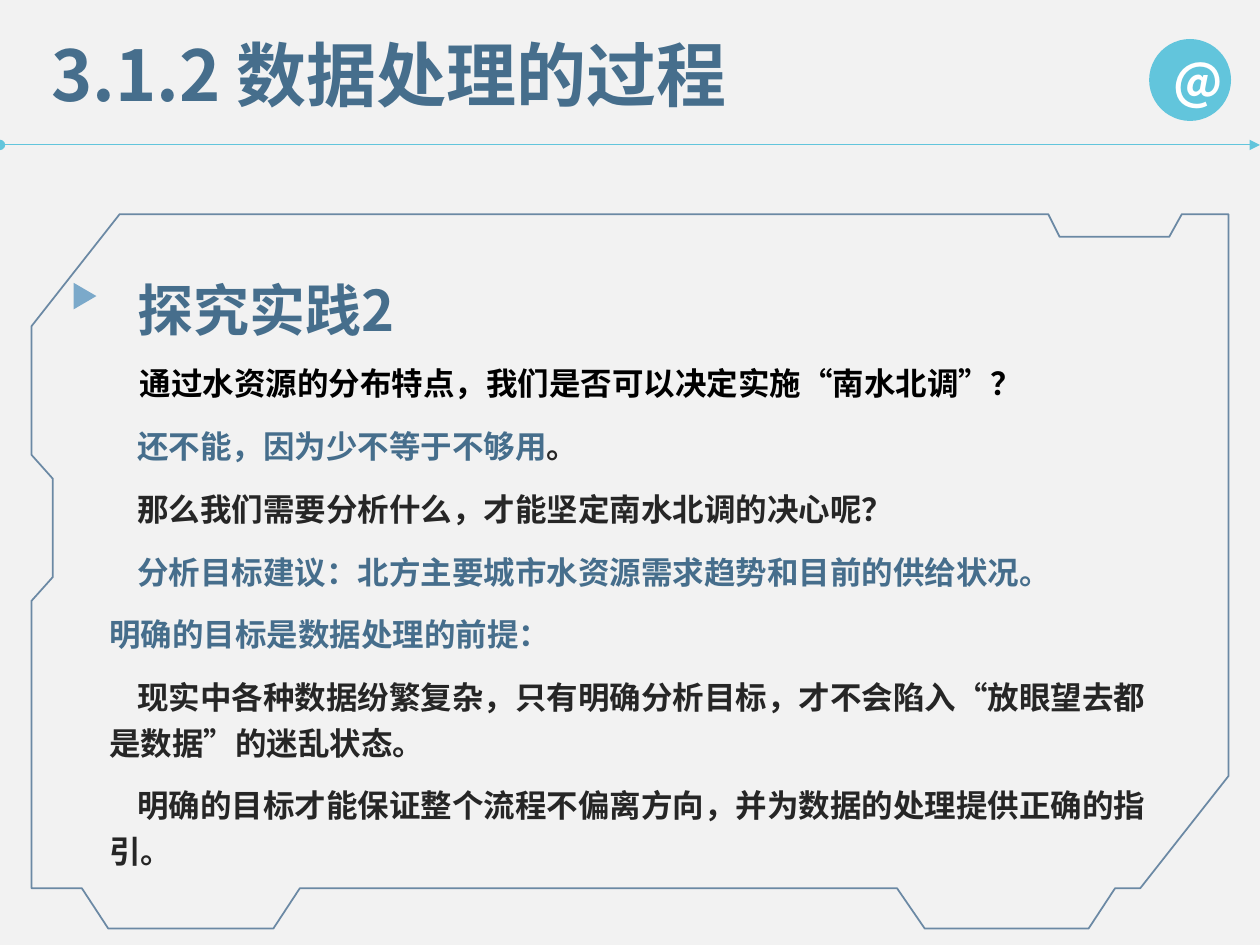
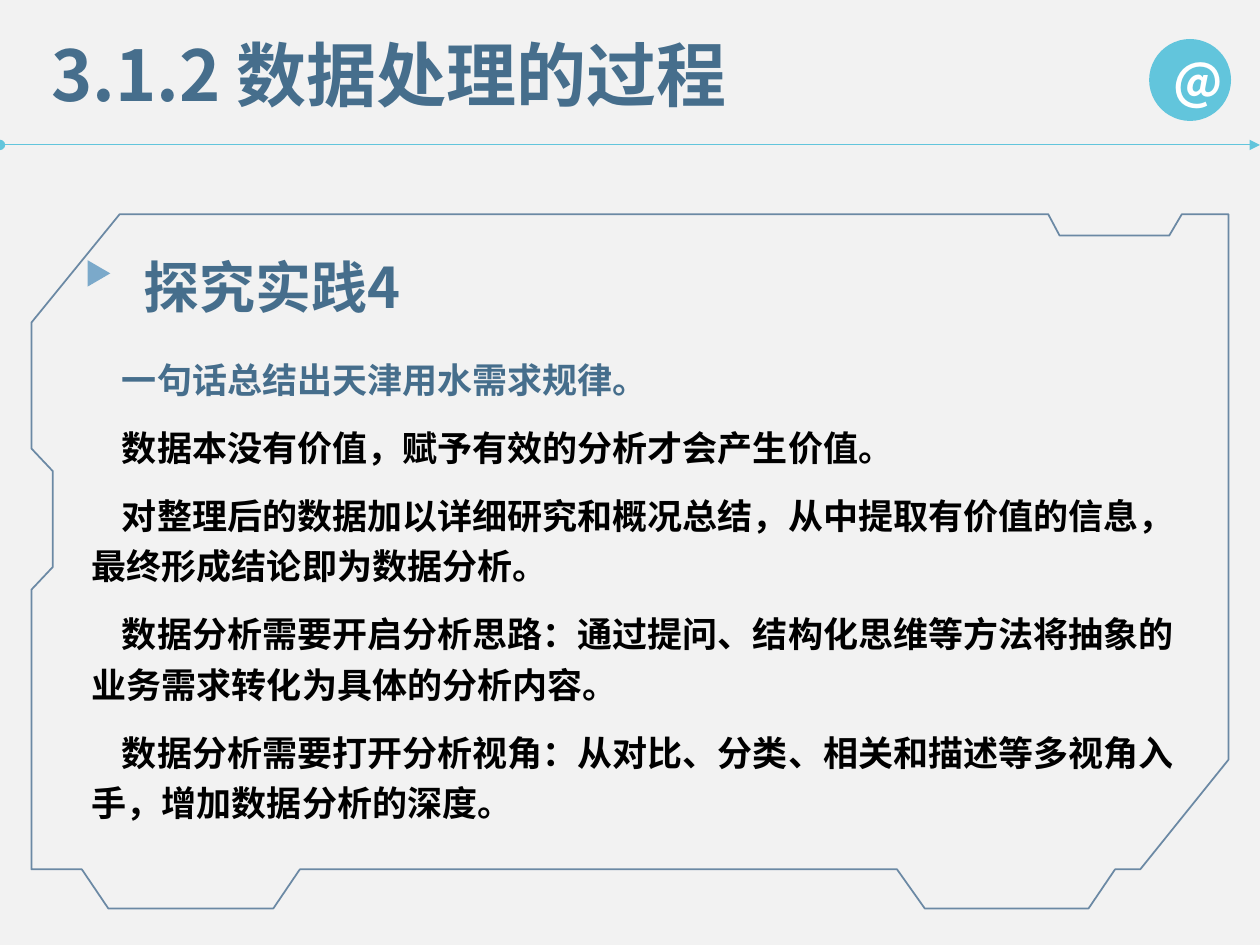
from lxml import etree
from pptx import Presentation
from pptx.dml.color import RGBColor
from pptx.enum.lang import MSO_LANGUAGE_ID
from pptx.enum.shapes import MSO_CONNECTOR, MSO_SHAPE
from pptx.enum.text import MSO_ANCHOR, MSO_AUTO_SIZE, PP_ALIGN
from pptx.oxml.ns import qn
from pptx.util import Pt

PX = 9144  # EMU per px, 100 px to the inch
FONT = "Noto Sans CJK SC"
COLORS = {
    "background": "F2F2F2",
    "steel": "466E8C",
    "cyan": "62C5DC",
    "marker": "7BA9CA",
    "frame": "1F4E79",
    "black": "000000",
    "charcoal": "262626",
    "white": "FFFFFF",
}
CHINESE = MSO_LANGUAGE_ID.SIMPLIFIED_CHINESE
STRAIGHT = MSO_CONNECTOR.STRAIGHT
ELLIPSE, TRIANGLE = MSO_SHAPE.OVAL, MSO_SHAPE.ISOSCELES_TRIANGLE
MIDDLE, CENTER = MSO_ANCHOR.MIDDLE, PP_ALIGN.CENTER
GROW = MSO_AUTO_SIZE.SHAPE_TO_FIT_TEXT

FRAME_TOP, FRAME_HEIGHT = 170, 567
FRAME_OUTLINE = [
    (734, 737), (864, 737), (885, 705), (905, 705), (975, 616), (975, 170),
    (938, 170), (928, 188), (841, 188), (832, 170), (95, 170), (25, 259),
    (25, 361), (42, 380), (42, 458), (25, 477), (25, 705), (65, 705),
    (86, 737), (217, 737), (238, 705), (712, 705),
]


def rgb(color):
    return RGBColor.from_string(COLORS[color])


class Deck:
    def __init__(self):
        self.presentation = Presentation()
        self.presentation.slide_width = 1000 * PX
        self.presentation.slide_height = 750 * PX
        self.slide = None

    def new_slide(self):
        blank = self.presentation.slide_layouts[6]
        self.slide = self.presentation.slides.add_slide(blank)
        fill = self.slide.background.fill
        fill.solid()
        fill.fore_color.rgb = rgb("background")

    def style_run(self, run, size, color):
        font = run.font
        font.size, font.bold, font.name = Pt(size), True, FONT
        font.color.rgb = rgb(color)
        font.language_id = CHINESE
        latin = font._element.find(qn("a:latin"))
        east_asian = etree.Element(qn("a:ea"), typeface=FONT)
        latin.addnext(east_asian)

    def text(self, box, lines, size, spacing=1.0, after=0):
        """Each line is (first-line indent, (words, color), ...)."""
        frame = self.slide.shapes.add_textbox(*(n * PX for n in box)).text_frame
        frame.word_wrap = True
        frame.auto_size = GROW
        for number, (indent, *parts) in enumerate(lines):
            paragraph = frame.add_paragraph() if number else frame.paragraphs[0]
            paragraph.line_spacing = spacing
            paragraph.space_after = Pt(after)
            properties = paragraph._p.get_or_add_pPr()
            properties.set("marL", "0")
            properties.set("indent", str(indent * PX))
            for words, color in parts:
                run = paragraph.add_run()
                run.text = words
                self.style_run(run, size, color)

    def shape(self, kind, box, color):
        shape = self.slide.shapes.add_shape(kind, *(n * PX for n in box))
        shape.shadow.inherit = False
        shape.fill.solid()
        shape.fill.fore_color.rgb = rgb(color)
        shape.line.fill.background()
        return shape

    def badge(self, box, symbol):
        badge = self.shape(ELLIPSE, box, "cyan")
        frame = badge.text_frame
        frame.text = symbol
        frame.vertical_anchor = MIDDLE
        frame.paragraphs[0].alignment = CENTER
        self.style_run(frame.paragraphs[0].runs[0], 28, "white")

    def arrow(self, y):
        """Rule across the slide, with a dot at the left and an arrowhead at the right."""
        rule = self.slide.shapes.add_connector(STRAIGHT, 0, y * PX, 1000 * PX, y * PX)
        rule.line.color.rgb = rgb("cyan")
        rule.line.width = Pt(0.5)
        line = rule.line._get_or_add_ln()
        etree.SubElement(line, qn("a:headEnd"), type="oval")
        etree.SubElement(line, qn("a:tailEnd"), type="triangle")
        etree.SubElement(rule._element.spPr, qn("a:effectLst"))

    def frame(self, height):
        """Notched outline, stretched from its top edge to the given height."""
        stretch = height / FRAME_HEIGHT
        points = [(x, FRAME_TOP + round((y - FRAME_TOP) * stretch))
                  for x, y in FRAME_OUTLINE]
        builder = self.slide.shapes.build_freeform(*points[0], scale=PX)
        builder.add_line_segments(points[1:], close=True)
        outline = builder.convert_to_shape()
        outline.shadow.inherit = False
        outline.fill.background()
        outline.line.color.rgb = rgb("frame")
        outline.line.width = Pt(1)
        color = outline.line._get_or_add_ln().find(".//" + qn("a:srgbClr"))
        etree.SubElement(color, qn("a:alpha"), val="64000")

    def practice(self, frame_height, heading, heading_box, marker_at, body_box, body, body_size):
        """Slide with the section title and one framed practice."""
        self.new_slide()
        self.text((31, 20, 690, 77), [(0, ("3.1.2 数据处理的过程", "steel"))], 40)
        self.arrow(115)
        self.badge((912, 31, 65, 65), "@")
        self.frame(frame_height)
        self.text(heading_box, [(0, (heading, "steel"))], 32, spacing=1.5)
        self.shape(TRIANGLE, (*marker_at, 21, 18), "marker").rotation = 90
        self.text(body_box, body, body_size, spacing=1.2, after=10)


def main():
    deck = Deck()
    water_goal = [
        (24, ("通过水资源的分布特点，我们是否可以决定实施“南水北调”？", "black")),
        (22, ("还不能，因为少不等于不够用", "steel"), ("。", "charcoal")),
        (22, ("那么我们需要分析什么，才能坚定南水北调的决心呢？", "charcoal")),
        (22, ("分析目标建议：北方主要城市水资源需求趋势和目前的供给状况。", "steel")),
        (0, ("明确的目标是数据处理的前提：", "steel")),
        (22, ("现实中各种数据纷繁复杂，只有明确分析目标，才不会陷入“放眼望去都是数据”的迷乱状态。",
              "charcoal")),
        (22, ("明确的目标才能保证整个流程不偏离方向，并为数据的处理提供正确的指引。", "charcoal")),
    ]
    deck.practice(567, "探究实践2", (99, 187, 622, 81), (57, 226),
                  (77, 278, 854, 425), water_goal, 18)

    analysis = [
        ("一句话总结出天津用水需求规律。", "steel"),
        ("数据本没有价值，赋予有效的分析才会产生价值。", "black"),
        ("对整理后的数据加以详细研究和概况总结，从中提取有价值的信息，最终形成结论即为数据分析。", "black"),
        ("数据分析需要开启分析思路：通过提问、结构化思维等方法将抽象的业务需求转化为具体的分析内容。", "black"),
        ("数据分析需要打开分析视角：从对比、分类、相关和描述等多视角入手，增加数据分析的深度。", "black"),
    ]
    deck.practice(551, "探究实践4", (104, 169, 622, 91), (68, 208),
                  (63, 273, 886, 389), [(24, part) for part in analysis], 20)
    deck.presentation.save("out.pptx")


if __name__ == "__main__":
    main()
